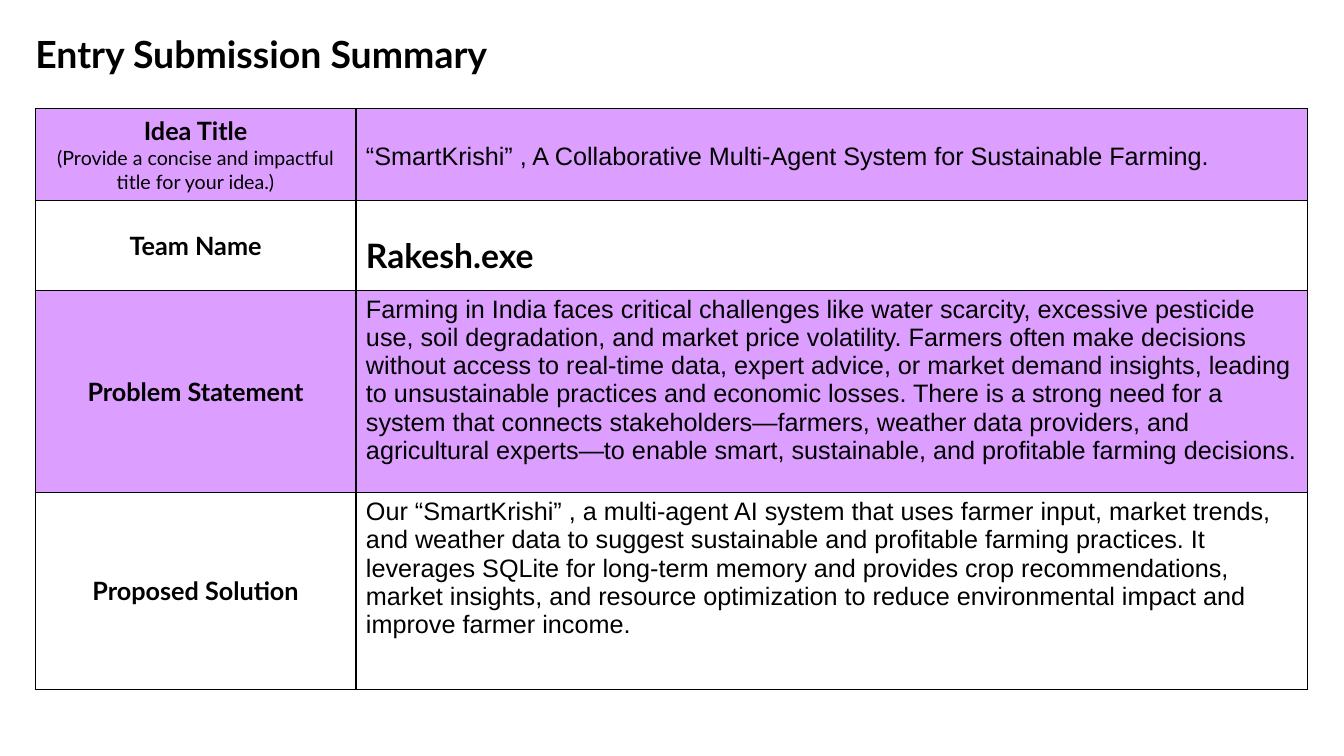
from lxml.etree import SubElement
from pptx import Presentation
from pptx.dml.color import RGBColor
from pptx.enum.text import MSO_ANCHOR as Anchor, PP_ALIGN as Align
from pptx.oxml import parse_xml
from pptx.oxml.ns import nsdecls, qn
from pptx.util import Inches, Pt

TITLE = "Entry Submission Summary"

# label, hint, answer, answer style, row height, space above the answer
ROWS = [
    ("Idea Title", "(Provide a concise and impactful title for your idea.)",
     "“SmartKrishi” , A Collaborative Multi-Agent System for Sustainable Farming.",
     "body", 0.91, 0.34),
    ("Team Name", "", "Rakesh.exe", "team", 0.89, 0.35),
    ("Problem Statement", "",
     "Farming in India faces critical challenges like water scarcity, excessive "
     "pesticide use, soil degradation, and market price volatility. Farmers often "
     "make decisions without access to real-time data, expert advice, or market "
     "demand insights, leading to unsustainable practices and economic losses. "
     "There is a strong need for a system that connects stakeholders—farmers, "
     "weather data providers, and agricultural experts—to enable smart, "
     "sustainable, and profitable farming decisions.",
     "body", 2.01, 0.05),
    ("Proposed Solution", "",
     "Our “SmartKrishi” , a multi-agent AI system that uses farmer input, market "
     "trends, and weather data to suggest sustainable and profitable farming "
     "practices. It leverages SQLite for long-term memory and provides crop "
     "recommendations, market insights, and resource optimization to reduce "
     "environmental impact and improve farmer income.",
     "body", 1.95, 0.05),
]
COLUMN_WIDTHS = (3.18, 9.44)
LEFT, TABLE_TOP = 0.35, 1.08

THEME = {
    "ink": "000000",
    "bands": ("DD9FFF", "FFFFFF"),
    "border": Pt(1),
    "title": {"name": "Lato", "size": Pt(26.7), "bold": True},
    "label": {"name": "Lato", "size": Pt(18), "bold": True},
    "hint": {"name": "Lato", "size": Pt(14), "bold": False},
    "team": {"name": "Lato", "size": Pt(24), "bold": True},
    "body": {"name": "Arial", "size": Pt(18), "bold": False},
}


def set_attributes(target, values):
    for name, value in values.items():
        setattr(target, name, value)


def add_text(paragraph, text, style):
    run = paragraph.add_run()
    run.text = text
    set_attributes(run.font, THEME[style])
    run.font.color.rgb = RGBColor.from_string(THEME["ink"])


def format_cell(cell, fill):
    """Fill the cell and draw a thin line on all four sides."""
    cell.fill.solid()
    cell.fill.fore_color.rgb = RGBColor.from_string(fill)
    properties = cell._tc.get_or_add_tcPr()
    for position, side in enumerate(("lnL", "lnR", "lnT", "lnB")):
        line = parse_xml(f'<a:{side} {nsdecls("a")} w="{THEME["border"]}"/>')
        solid = SubElement(line, qn("a:solidFill"))
        SubElement(solid, qn("a:srgbClr"), val=THEME["ink"])
        properties.insert(position, line)


def add_title(slide):
    title = slide.shapes.title
    set_attributes(title, {"left": Inches(LEFT), "top": Inches(0.39),
                           "width": Inches(12.29), "height": Inches(0.93)})
    frame = title.text_frame
    set_attributes(frame, {"margin_left": 0, "margin_top": 0, "margin_bottom": 0,
                           "margin_right": Inches(0.13), "word_wrap": True,
                           "vertical_anchor": Anchor.TOP})
    paragraph = frame.paragraphs[0]
    set_attributes(paragraph, {"alignment": Align.LEFT, "line_spacing": 0.8,
                               "space_before": Pt(0)})
    add_text(paragraph, TITLE, "title")


def add_summary_table(slide):
    heights = [row[4] for row in ROWS]
    table = slide.shapes.add_table(
        len(ROWS), len(COLUMN_WIDTHS), Inches(LEFT), Inches(TABLE_TOP),
        Inches(sum(COLUMN_WIDTHS)), Inches(sum(heights))).table
    set_attributes(table, {"first_row": False, "horz_banding": False})
    for column, width in zip(table.columns, COLUMN_WIDTHS):
        column.width = Inches(width)

    for index, (label, hint, answer, style, height, space_above) in enumerate(ROWS):
        row = table.rows[index]
        row.height = Inches(height)
        label_cell, answer_cell = row.cells
        for cell in row.cells:
            format_cell(cell, THEME["bands"][index % 2])

        label_cell.vertical_anchor = Anchor.MIDDLE
        paragraph = label_cell.text_frame.paragraphs[0]
        paragraph.alignment = Align.CENTER
        add_text(paragraph, label, "label")
        if hint:
            paragraph.add_line_break()
            add_text(paragraph, hint, "hint")

        set_attributes(answer_cell, {"vertical_anchor": Anchor.TOP,
                                     "margin_top": Inches(space_above)})
        add_text(answer_cell.text_frame.paragraphs[0], answer, style)


def main():
    presentation = Presentation()
    set_attributes(presentation, {"slide_width": Inches(13.33),
                                  "slide_height": Inches(7.5)})
    slide = presentation.slides.add_slide(presentation.slide_layouts[5])
    add_title(slide)
    add_summary_table(slide)
    presentation.save("out.pptx")


if __name__ == "__main__":
    main()
